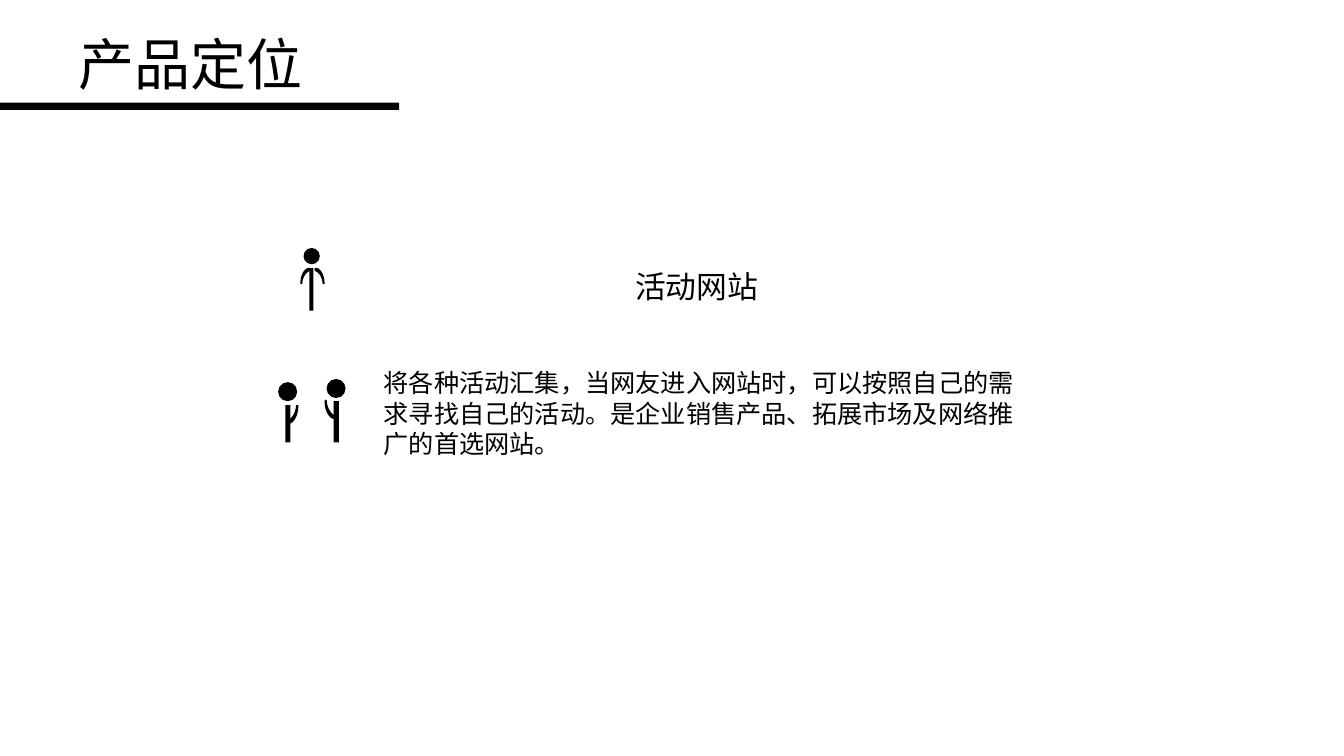
"""Builds the product positioning slide with its small stick figures."""
from pptx import Presentation, util as u
from pptx.dml.color import RGBColor
from pptx.enum import shapes, text

FONT = "Noto Sans CJK SC"
INK = "000000"


def color(code):
    """Return the colour for a hex string."""
    return RGBColor.from_string(code)


def paint(shape):
    """Fill a shape with ink, without outline or shadow."""
    shape.fill.solid()
    shape.fill.fore_color.rgb = color(INK)
    shape.line.fill.background()
    shape.shadow.inherit = False


def block(parent, kind, box):
    """Add a solid preset shape at a box in centimetres."""
    paint(parent.add_shape(kind, *map(u.Cm, box)))


def write(shape, box, words, size, align=text.PP_ALIGN.LEFT):
    """Place a text holder and set its one paragraph."""
    shape.left, shape.top, shape.width, shape.height = map(u.Cm, box)
    frame = shape.text_frame
    frame.text = words
    frame.word_wrap = True
    frame.auto_size = text.MSO_AUTO_SIZE.SHAPE_TO_FIT_TEXT
    frame.vertical_anchor = text.MSO_ANCHOR.TOP
    line = frame.paragraphs[0]
    line.alignment = align
    line.line_spacing = u.Pt(size * 1.2)
    line.font.name = FONT
    line.font.size = u.Pt(size)
    line.font.color.rgb = color(INK)


def note(slide, box, words, size, align=text.PP_ALIGN.LEFT):
    """Add a text box."""
    write(slide.shapes.add_textbox(0, 0, 0, 0), box, words, size, align)


def curve(a, b, c, d, steps=12):
    """Return points along a cubic curve after its start."""
    marks = [i / steps for i in range(1, steps + 1)]
    return [tuple((1 - t) ** 3 * p + 3 * (1 - t) ** 2 * t * q
                  + 3 * (1 - t) * t ** 2 * r + t ** 3 * s
                  for p, q, r, s in zip(a, b, c, d)) for t in marks]


def arm(parent, left, top, wide, high):
    """Add a bent arm from its hand; negative sizes mirror it."""
    inner = curve((.2, .06), (.25, .42), (.55, .7), (.9, .79))
    outer = curve((.9, 1), (.4, 1), (0, .55), (0, .06))
    dots = [(0, 0), (.2, 0), (.2, .06), *inner, (1, .79), (1, 1), (.9, 1), *outer]
    spots = [(u.Cm(left + x * wide), u.Cm(top + y * high)) for x, y in dots]
    pen = parent.build_freeform(*spots[0])
    pen.add_line_segments(spots[1:], close=True)
    paint(pen.convert_to_shape())


def person(parent, head, body, arms):
    """Add a head, a body and arms to a group."""
    left, top, size = head
    block(parent, shapes.MSO_SHAPE.OVAL, (left, top, size, size))
    block(parent, shapes.MSO_SHAPE.RECTANGLE, body)
    for limb in arms:
        arm(parent, *limb)


def main():
    """Build and save the slide."""
    deck = Presentation()
    deck.slide_width, deck.slide_height = u.Cm(33.87), u.Cm(19.05)
    slide = deck.slides.add_slide(deck.slide_layouts[5])
    block(slide.shapes, shapes.MSO_SHAPE.RECTANGLE, (0, 2.59, 10.06, .18))
    write(slide.shapes.title, (1.73, .61, 7.7, 1.96), "产品定位", 40)
    note(slide, (9.42, 6.63, 16.28, 1.19), "活动网站", 22, text.PP_ALIGN.CENTER)
    note(slide, (9.42, 9.14, 16.94, 2.57),
         "将各种活动汇集，当网友进入网站时，可以按照自己的需求寻找自己的活动。"
         "是企业销售产品、拓展市场及网络推广的首选网站。", 18)

    single = slide.shapes.add_group_shape().shapes
    person(single, (7.65, 6.25, .41), (7.8, 6.76, .1, 1.07),
           [(7.57, 7.16, .25, -.41), (8.18, 7.16, -.25, -.41)])
    pair = slide.shapes.add_group_shape().shapes
    person(pair, (7.01, 9.63, .48), (7.19, 10.21, .13, .94),
           [(7.52, 10.21, -.3, .48)])
    person(pair, (8.23, 9.55, .48), (8.41, 10.11, .13, 1.04),
           [(8.18, 10.08, .28, .48)])
    deck.save("out.pptx")


if __name__ == "__main__":
    main()
